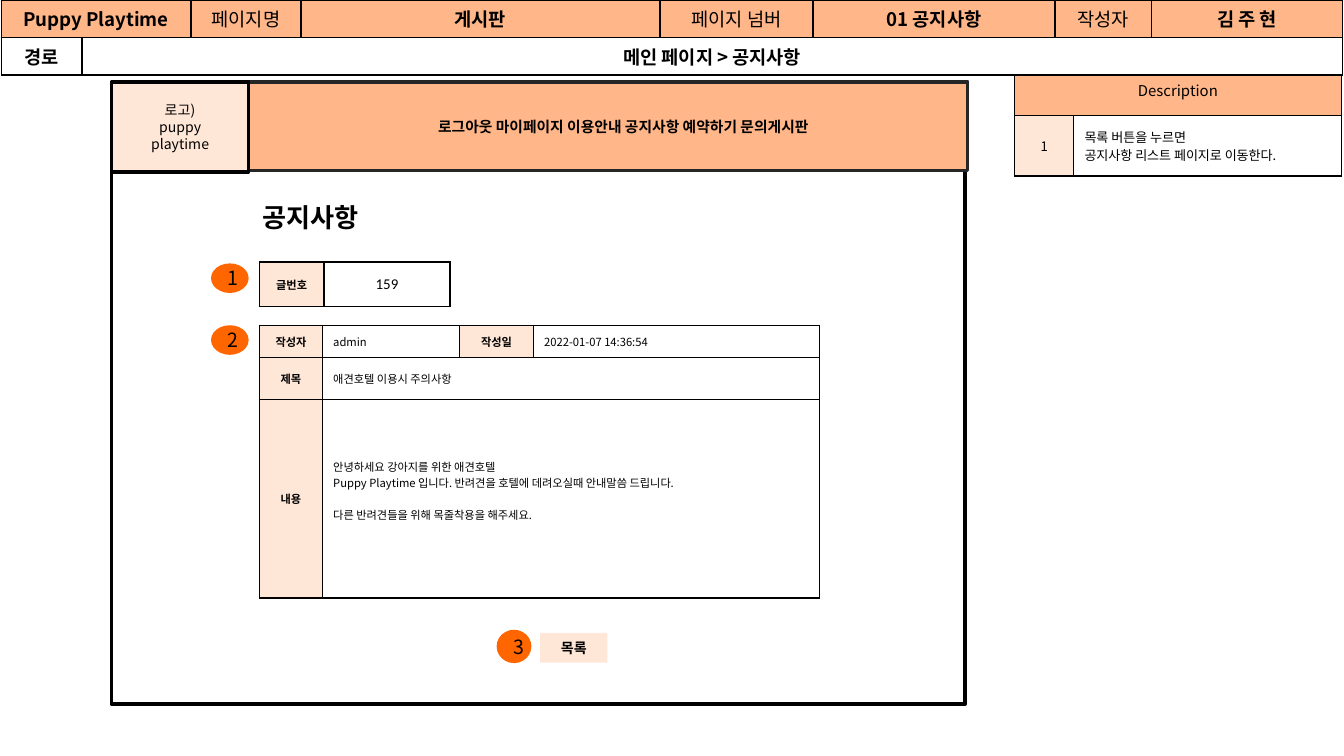
from dataclasses import dataclass
from typing import Optional

from pptx import Presentation
from pptx.dml.color import RGBColor
from pptx.enum.shapes import MSO_SHAPE
from pptx.enum.text import MSO_ANCHOR, PP_ALIGN
from pptx.oxml.ns import qn
from pptx.util import Inches, Pt
from lxml.etree import SubElement


@dataclass(frozen=True)
class Theme:
    black: str = "000000"
    charcoal: str = "262626"
    white: str = "FFFFFF"
    peach: str = "FFB689"
    cream: str = "FFE7D8"
    orange: str = "FF6600"
    font: str = "Noto Sans CJK KR"
    number_font: str = "Calibri"
    heading_font: str = "Open Sans"
    title: float = 14
    badge: float = 10.5
    header: float = 10
    nav: float = 7.9
    description: float = 8
    note: float = 7
    button: float = 7.5
    post: float = 6


THEME = Theme()


@dataclass(frozen=True)
class Label:
    lines: tuple[str, ...]
    size: float
    bold: bool = False
    align: PP_ALIGN = PP_ALIGN.CENTER
    font: str = THEME.font
    last_gap: float = 0


@dataclass(frozen=True)
class Cell:
    label: Label
    fill: str = THEME.white
    span: int = 1
    lift: float = 0


@dataclass(frozen=True)
class Grid:
    left: float
    top: float
    columns: tuple[float, ...]
    rows: tuple[float, ...]
    cells: tuple[tuple[Cell, ...], ...]
    border: float = 1
    margins: tuple[float, float] = (0.08, 0.04)


@dataclass(frozen=True)
class Block:
    left: float
    top: float
    width: float
    height: float
    fill: str
    label: Optional[Label] = None
    line: Optional[str] = None
    kind: MSO_SHAPE = MSO_SHAPE.RECTANGLE
    left_margin: float = 0.08


def colour(value: str) -> RGBColor:
    return RGBColor.from_string(value)


def write(frame, label: Label) -> None:
    for index, line in enumerate(label.lines):
        para = frame.paragraphs[0] if index == 0 else frame.add_paragraph()
        para.alignment = label.align
        if label.last_gap and index == len(label.lines) - 1:
            para.space_before = Pt(label.last_gap)
        span = para.add_run()
        span.text = line
        span.font.size = Pt(label.size)
        span.font.bold = label.bold
        span.font.name = label.font
        span.font.color.rgb = colour(THEME.black)
        SubElement(span.font._element, qn("a:ea")).set("typeface", THEME.font)


def add_borders(cell, width: float) -> None:
    """Put the four edges ahead of the fill, as the schema asks."""
    properties = cell._tc.get_or_add_tcPr()
    for position, side in enumerate(("lnL", "lnR", "lnT", "lnB")):
        edge = SubElement(properties, qn(f"a:{side}"), w=str(Pt(width)))
        fill = SubElement(edge, qn("a:solidFill"))
        SubElement(fill, qn("a:srgbClr"), val=THEME.black)
        properties.insert(position, edge)


def draw_grid(page, grid: Grid) -> None:
    table = page.shapes.add_table(
        len(grid.rows), len(grid.columns), Inches(grid.left), Inches(grid.top),
        Inches(sum(grid.columns)), Inches(sum(grid.rows))).table
    table.first_row = table.horz_banding = False
    for column, width in zip(table.columns, grid.columns):
        column.width = Inches(width)
    for row, height in zip(table.rows, grid.rows):
        row.height = Inches(height)
    for row_index, row_cells in enumerate(grid.cells):
        column_index = 0
        for item in row_cells:
            last = column_index + item.span - 1
            box = table.cell(row_index, column_index)
            if item.span > 1:
                box.merge(table.cell(row_index, last))
            for position in range(column_index, last + 1):
                part = table.cell(row_index, position)
                part.fill.solid()
                part.fill.fore_color.rgb = colour(item.fill)
                add_borders(part, grid.border)
            box.margin_left = box.margin_right = Inches(grid.margins[0])
            box.margin_top = Inches(grid.margins[1])
            box.margin_bottom = Inches(grid.margins[1] + item.lift)
            box.vertical_anchor = MSO_ANCHOR.MIDDLE
            write(box.text_frame, item.label)
            column_index = last + 1


def draw_block(page, block: Block) -> None:
    box = page.shapes.add_shape(
        block.kind, Inches(block.left), Inches(block.top),
        Inches(block.width), Inches(block.height))
    box.shadow.inherit = False
    box.fill.solid()
    box.fill.fore_color.rgb = colour(block.fill)
    if block.line:
        box.line.color.rgb = colour(block.line)
        box.line.width = Pt(2)
    else:
        box.line.fill.background()
    if block.label:
        frame = box.text_frame
        frame.word_wrap = True
        frame.vertical_anchor = MSO_ANCHOR.MIDDLE
        frame.margin_left, frame.margin_right = Inches(block.left_margin), Inches(0.08)
        frame.margin_top = frame.margin_bottom = Inches(0.04)
        write(frame, block.label)


def draw_title(page, text: str) -> None:
    title = page.shapes.title
    title.left, title.top = Inches(1.85), Inches(1.45)
    title.width, title.height = Inches(1.47), Inches(0.33)
    title.text_frame.vertical_anchor = MSO_ANCHOR.MIDDLE
    write(title.text_frame, Label((text,), THEME.title, True, PP_ALIGN.LEFT))


def header_cell(text: str, bold: bool = True, fill: str = THEME.peach, span: int = 1) -> Cell:
    return Cell(Label((text,), THEME.header, bold), fill, span)


def post_heading(text: str, font: str = THEME.font) -> Cell:
    return Cell(Label((text,), THEME.post, True, font=font), THEME.cream)


def post_value(*lines: str, span: int = 1, font: str = THEME.font,
               last_gap: float = 0, lift: float = 0) -> Cell:
    label = Label(lines, THEME.post, False, PP_ALIGN.LEFT, font, last_gap)
    return Cell(label, span=span, lift=lift)


def badge(number: int, left: float, top: float, width: float = 0.28,
          line: Optional[str] = None) -> Block:
    return Block(left, top, width, 0.22, THEME.orange,
                 Label((str(number),), THEME.badge), line, MSO_SHAPE.OVAL)


DESCRIPTION = Grid(7.55, 0.48, (0.44, 1.99), (0.38, 0.45), (
    (Cell(Label(("Description",), THEME.description), THEME.peach, 2),),
    (Cell(Label(("1",), THEME.note), THEME.cream),
     Cell(Label(("목록 버튼을 누르면", "공지사항 리스트 페이지로 이동한다."),
                THEME.note, align=PP_ALIGN.LEFT)))), 0.75, (0.08, 0.03))
POST = Grid(1.93, 2.42, (0.47, 1.02, 0.55, 2.13), (0.24, 0.31, 1.48), (
    (post_heading("작성자"), post_value("admin"),
     post_heading("작성일"), post_value("2022-01-07 14:36:54")),
    (post_heading("제목", THEME.heading_font),
     post_value("애견호텔 이용시 주의사항", span=3, font=THEME.number_font)),
    (post_heading("내용"),
     post_value("안녕하세요 강아지를 위한 애견호텔",
                "Puppy Playtime 입니다. 반려견을 호텔에 데려오실때 안내말씀 드립니다.",
                "다른 반려견들을 위해 목줄착용을 해주세요.",
                span=3, last_gap=8.6, lift=0.12))), 0.75)
HEADER = Grid(0.01, 0, (0.6, 0.81, 0.82, 2.67, 1.14, 1.8, 0.72, 1.42), (0.24, 0.24), (
    (header_cell("Puppy Playtime", span=2), header_cell("페이지명", False),
     header_cell("게시판"), header_cell("페이지 넘버", False), header_cell("01 공지사항"),
     header_cell("작성자", False), header_cell("김 주 현")),
    (header_cell("경로", fill=THEME.white),
     header_cell("메인 페이지 > 공지사항", fill=THEME.white, span=7))), margins=(0.09, 0.04))
POST_NUMBER = Grid(1.93, 1.95, (0.48, 0.94), (0.33,), (
    (post_heading("글번호", THEME.number_font),
     Cell(Label(("159",), THEME.description, font=THEME.number_font))),))

SCREEN = (
    Block(0.83, 1.24, 6.35, 4, THEME.white, line=THEME.black),
    Block(1.77, 0.61, 5.43, 0.66, THEME.peach,
          Label(("로그아웃 마이페이지 이용안내 공지사항 예약하기 문의게시판",),
                THEME.nav, True, PP_ALIGN.LEFT), THEME.charcoal, left_margin=1.49),
    Block(0.83, 0.61, 1.02, 0.67, THEME.cream,
          Label(("로고)", "puppy", "playtime"), THEME.button), THEME.black),
)
CONTROLS = (
    Block(4.02, 4.71, 0.5, 0.22, THEME.cream, Label(("목록",), THEME.button, True)),
    badge(3, 3.71, 4.7, 0.23, THEME.orange),
    badge(1, 1.57, 1.96),
    badge(2, 1.57, 2.42),
)


def main() -> None:
    deck = Presentation()
    deck.slide_width = Inches(10)
    deck.slide_height = deck.slide_width * 9 // 16
    page = deck.slides.add_slide(deck.slide_layouts[5])
    draw_grid(page, DESCRIPTION)
    for block in SCREEN:
        draw_block(page, block)
    for grid in (POST, HEADER, POST_NUMBER):
        draw_grid(page, grid)
    for block in CONTROLS:
        draw_block(page, block)
    draw_title(page, "공지사항")
    page.shapes._spTree.append(page.shapes.title._element)
    deck.save("out.pptx")


if __name__ == "__main__":
    main()
